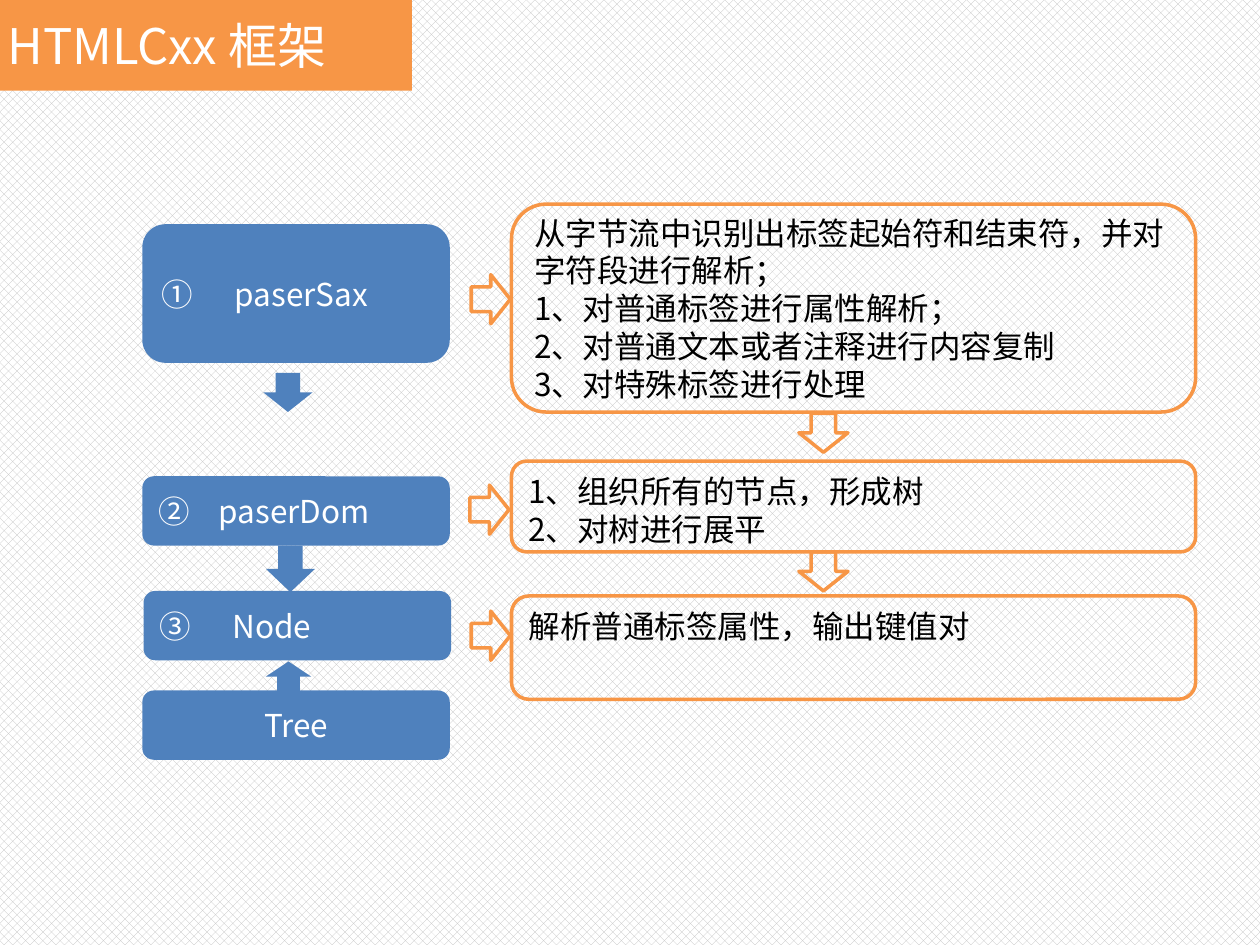
import pptx
import pptx.util
import pptx.oxml
import pptx.oxml.ns
import pptx.dml.color
import pptx.enum.dml
import pptx.enum.shapes
import pptx.enum.text
import lxml.etree

Inches = pptx.util.Inches
Kind = pptx.enum.shapes.MSO_SHAPE
Align = pptx.enum.text.PP_ALIGN
Anchor = pptx.enum.text.MSO_ANCHOR
qn = pptx.oxml.ns.qn
FONT = "Noto Sans CJK SC"
BLUE, ORANGE, WHITE, BLACK = "4F81BD", "F79646", "FFFFFF", "000000"
hue = pptx.dml.color.RGBColor.from_string


def write(shape, text, size=18, color=WHITE, align=Align.LEFT,
          anchor=Anchor.MIDDLE, tab=None):
    frame = shape.text_frame
    frame.word_wrap = True
    frame.auto_size = pptx.enum.text.MSO_AUTO_SIZE.NONE
    frame.vertical_anchor = anchor
    frame.text = text
    for para in frame.paragraphs:
        para.alignment = align
        if tab:
            stops = lxml.etree.SubElement(para._p.get_or_add_pPr(), qn("a:tabLst"))
            lxml.etree.SubElement(stops, qn("a:tab"), pos=str(Inches(tab)), algn="l")
        for run in para.runs:
            run.font.size = pptx.util.Pt(size)
            run.font.color.rgb = hue(color)
            run.font.name = FONT
            east = lxml.etree.SubElement(run._r.get_or_add_rPr(), qn("a:ea"))
            east.set("typeface", FONT)


def draw(kind, left, top, width, height, fill=None, line=None):
    shape = slide.shapes.add_shape(
        kind, Inches(left), Inches(top), Inches(width), Inches(height))
    shape.shadow.inherit = False
    if fill:
        shape.fill.solid()
        shape.fill.fore_color.rgb = hue(fill)
    else:
        shape.fill.background()
    if line:
        shape.line.color.rgb = hue(line)
        shape.line.width = pptx.util.Pt(2)
    else:
        shape.line.fill.background()
    return shape


deck = pptx.Presentation()
deck.slide_width, deck.slide_height = Inches(10), Inches(7.5)
slide = deck.slides.add_slide(deck.slide_layouts[5])

# Patterned background
back = slide.background.fill
back.patterned()
back.pattern = pptx.enum.dml.MSO_PATTERN.PERCENT_50
back.fore_color.rgb = hue("BFBFBF")
back.back_color.rgb = hue(WHITE)

# Title band
title = slide.shapes.title
title.left, title.top = Inches(-0.04), Inches(0)
title.width, title.height = Inches(3.31), Inches(0.72)
title.fill.solid()
title.fill.fore_color.rgb = hue(ORANGE)
write(title, "HTMLCxx 框架", size=28)

# Blue steps on the left
steps = [
    (1.13, 1.78, 1.1, "①\tpaserSax", 0.58),
    (1.13, 3.78, 0.55, "②\tpaserDom", 0.48),
    (1.14, 4.69, 0.55, "③\tNode", 0.58),
    (1.13, 5.48, 0.55, "Tree", None),
]
for left, top, height, text, tab in steps:
    step = draw(Kind.ROUNDED_RECTANGLE, left, top, 2.44, height, fill=BLUE)
    write(step, text, tab=tab, align=Align.LEFT if tab else Align.CENTER)

# Orange notes on the right
notes = [
    (1.62, 1.65, Anchor.MIDDLE,
     "从字节流中识别出标签起始符和结束符，并对字符段进行解析；\n"
     "1、对普通标签进行属性解析；\n"
     "2、对普通文本或者注释进行内容复制\n"
     "3、对特殊标签进行处理"),
    (3.66, 0.72, Anchor.TOP, "1、组织所有的节点，形成树\n2、对树进行展平"),
    (4.73, 0.82, Anchor.TOP, "解析普通标签属性，输出键值对"),
]
for top, height, anchor, text in notes:
    note = draw(Kind.ROUNDED_RECTANGLE, 4.06, top, 5.43, height, line=ORANGE)
    write(note, text, color=BLACK, anchor=anchor)

# Blue arrows between steps
draw(Kind.DOWN_ARROW, 2.09, 2.96, 0.39, 0.31, fill=BLUE)
draw(Kind.DOWN_ARROW, 2.11, 4.33, 0.39, 0.37, fill=BLUE)
draw(Kind.UP_ARROW, 2.11, 5.25, 0.36, 0.24, fill=BLUE)

# Orange arrows between notes, and from steps to notes
for top in (3.28, 4.38):
    draw(Kind.DOWN_ARROW, 6.34, top, 0.39, 0.31, line=ORANGE)
for left, top in ((3.74, 2.18), (3.73, 3.85), (3.74, 4.85)):
    draw(Kind.RIGHT_ARROW, left, top, 0.31, 0.39, line=ORANGE)

deck.save("out.pptx")
